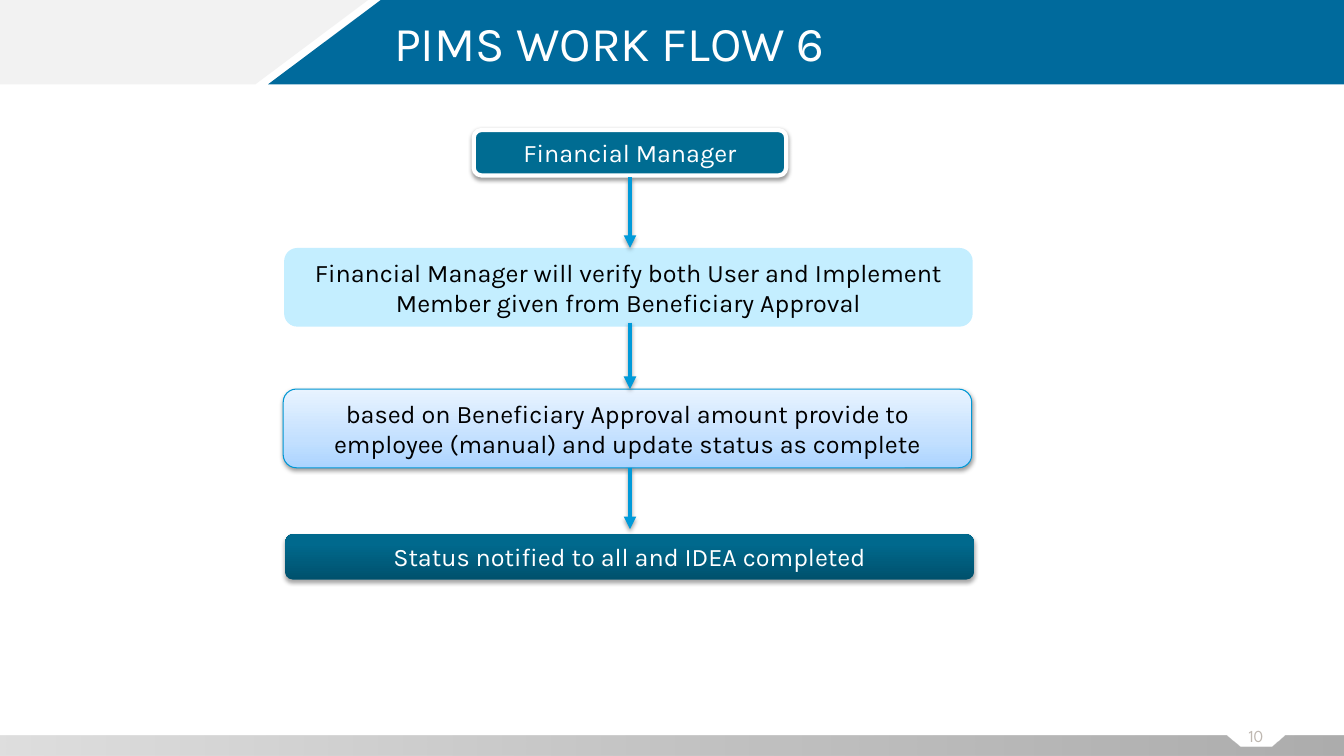
from lxml import etree
from pptx import Presentation
from pptx import util as u
from pptx.dml.color import RGBColor
from pptx.enum import shapes, text
from pptx.oxml import ns

Pt = u.Pt
WHITE = RGBColor(0xFF, 0xFF, 0xFF)
BLACK = RGBColor(0, 0, 0)
HEADER_BLUE = RGBColor(0x00, 0x6A, 0x9C)
HEADER_GREY = RGBColor(0xF2, 0xF2, 0xF2)
NUMBER_GREY = RGBColor(0xBF, 0xB8, 0xB1)
TEAL = RGBColor(0x00, 0x6C, 0x92)
PALE_BLUE = RGBColor(0xC4, 0xEE, 0xFF)
OUTLINE_BLUE = RGBColor(0x00, 0x97, 0xD4)
ARROW_BLUE = RGBColor(0x00, 0x9A, 0xD9)
FOOTER_STOPS = [(0, RGBColor(0x59, 0x59, 0x59)), (42, RGBColor(0x80, 0x80, 0x80)),
                (100, RGBColor(0xBF, 0xBF, 0xBF))]
SKY_STOPS = [(0, RGBColor(0xAB, 0xD4, 0xFF)), (35, RGBColor(0xC3, 0xE0, 0xFF)),
             (100, RGBColor(0xE8, 0xF3, 0xFF))]
DEEP_STOPS = [(0, RGBColor(0x00, 0x51, 0x6D)), (80, RGBColor(0x00, 0x69, 0x8D)),
              (100, RGBColor(0x00, 0x69, 0x8E))]


def set_fill(sp, fill, angle=90, alpha=100):
    if isinstance(fill, RGBColor):
        sp.fill.solid()
        sp.fill.fore_color.rgb = fill
        return
    sp.fill.gradient()
    sp.fill.gradient_angle = angle
    stops = sp._element.spPr.find(".//" + ns.qn("a:gsLst"))
    for old in list(stops):
        stops.remove(old)
    for pos, color in fill:
        gs = etree.SubElement(stops, ns.qn("a:gs"), pos=str(pos * 1000))
        clr = etree.SubElement(gs, ns.qn("a:srgbClr"), val=str(color))
        etree.SubElement(clr, ns.qn("a:alpha"), val=str(alpha * 1000))


def add_shadow(sp, alpha, dist):
    spPr = sp._element.spPr
    effects = spPr.find(ns.qn("a:effectLst"))
    if effects is None:
        effects = etree.SubElement(spPr, ns.qn("a:effectLst"))
    shadow = etree.SubElement(effects, ns.qn("a:outerShdw"), blurRad=str(Pt(3.1)),
                              dist=str(Pt(dist)), dir="5400000", rotWithShape="0")
    clr = etree.SubElement(shadow, ns.qn("a:srgbClr"), val=str(BLACK))
    etree.SubElement(clr, ns.qn("a:alpha"), val=str(alpha * 1000))


prs = Presentation()
prs.slide_width, prs.slide_height = Pt(960), Pt(540)
s = prs.slides.add_slide(prs.slide_layouts[5])

bands = [
    ([(272, 0), (960, 0), (960, 60.2), (191.5, 60.2)], HEADER_BLUE),
    ([(0, 0), (263, 0), (182.5, 60.2), (0, 60.2)], HEADER_GREY),
    ([(0, 525.5), (875.5, 525.5), (885.5, 533.5), (908, 533.5), (917.5, 525.5),
      (960, 525.5), (960, 540), (0, 540)], FOOTER_STOPS),
]
for outline, fill in bands:
    points = [(Pt(x), Pt(y)) for x, y in outline]
    fb = s.shapes.build_freeform(*points[0])
    fb.add_line_segments(points[1:])
    sp = fb.convert_to_shape()
    sp.shadow.inherit = False
    set_fill(sp, fill, angle=180, alpha=50)
    sp.line.fill.background()

title = s.shapes.title
s.shapes._spTree.append(title._element)
title.left, title.top, title.width, title.height = Pt(281.5), Pt(17.3), Pt(621.5), Pt(33.8)
number = s.shapes.add_textbox(Pt(887), Pt(518.4), Pt(20.2), Pt(14.4))
labels = [
    (title, "PIMS WORK FLOW 6", "Karla", 34.7, WHITE, text.PP_ALIGN.LEFT),
    (number, "10", "League Spartan", 12, NUMBER_GREY, text.PP_ALIGN.CENTER),
]
for sp, label, font, size, color, align in labels:
    tf = sp.text_frame
    tf.text = label
    tf.word_wrap = True
    tf.auto_size = text.MSO_AUTO_SIZE.NONE
    tf.vertical_anchor = text.MSO_ANCHOR.MIDDLE
    tf.margin_left = tf.margin_right = tf.margin_top = tf.margin_bottom = 0
    p = tf.paragraphs[0]
    p.alignment = align
    r = p.runs[0]
    r.font.name, r.font.size, r.font.color.rgb = font, Pt(size), color
title.text_frame.paragraphs[0].line_spacing = 0.8

steps = [
    ("Financial Manager", 338.4, 92.9, 223.2, 32.4, TEAL, (WHITE, 3), (38, 1.6), WHITE),
    ("Financial Manager will verify both User and Implement Member given from "
     "Beneficiary Approval", 203, 177.1, 491.8, 56.2, PALE_BLUE, None, None, BLACK),
    ("based on Beneficiary Approval amount provide to employee (manual) and update "
     "status as complete", 202.3, 277.9, 491.8, 56.2, SKY_STOPS, (OUTLINE_BLUE, 0.75),
     (38, 1.6), BLACK),
    ("Status notified to all and IDEA completed", 203.8, 381.6, 491.8, 32.4,
     DEEP_STOPS, None, (35, 1.8), WHITE),
]
for label, x, y, w, h, fill, outline, shadow, color in steps:
    sp = s.shapes.add_shape(shapes.MSO_SHAPE.ROUNDED_RECTANGLE, Pt(x), Pt(y), Pt(w), Pt(h))
    sp.shadow.inherit = False
    set_fill(sp, fill)
    if outline:
        sp.line.color.rgb, sp.line.width = outline[0], Pt(outline[1])
    else:
        sp.line.fill.background()
    if shadow:
        add_shadow(sp, *shadow)
    tf = sp.text_frame
    tf.text = label
    tf.word_wrap = True
    p = tf.paragraphs[0]
    p.alignment = text.PP_ALIGN.CENTER
    r = p.runs[0]
    r.font.name, r.font.size, r.font.color.rgb = "Karla", Pt(18), color

for start, end in [(126.7, 177.1), (230.4, 277.9), (334.1, 378)]:
    arrow = s.shapes.add_connector(shapes.MSO_CONNECTOR.STRAIGHT,
                                   Pt(450), Pt(start), Pt(450), Pt(end))
    arrow.line.color.rgb, arrow.line.width = ARROW_BLUE, Pt(3)
    etree.SubElement(arrow.line._get_or_add_ln(), ns.qn("a:tailEnd"), type="triangle")
    add_shadow(arrow, 35, 1.8)

prs.save("out.pptx")
